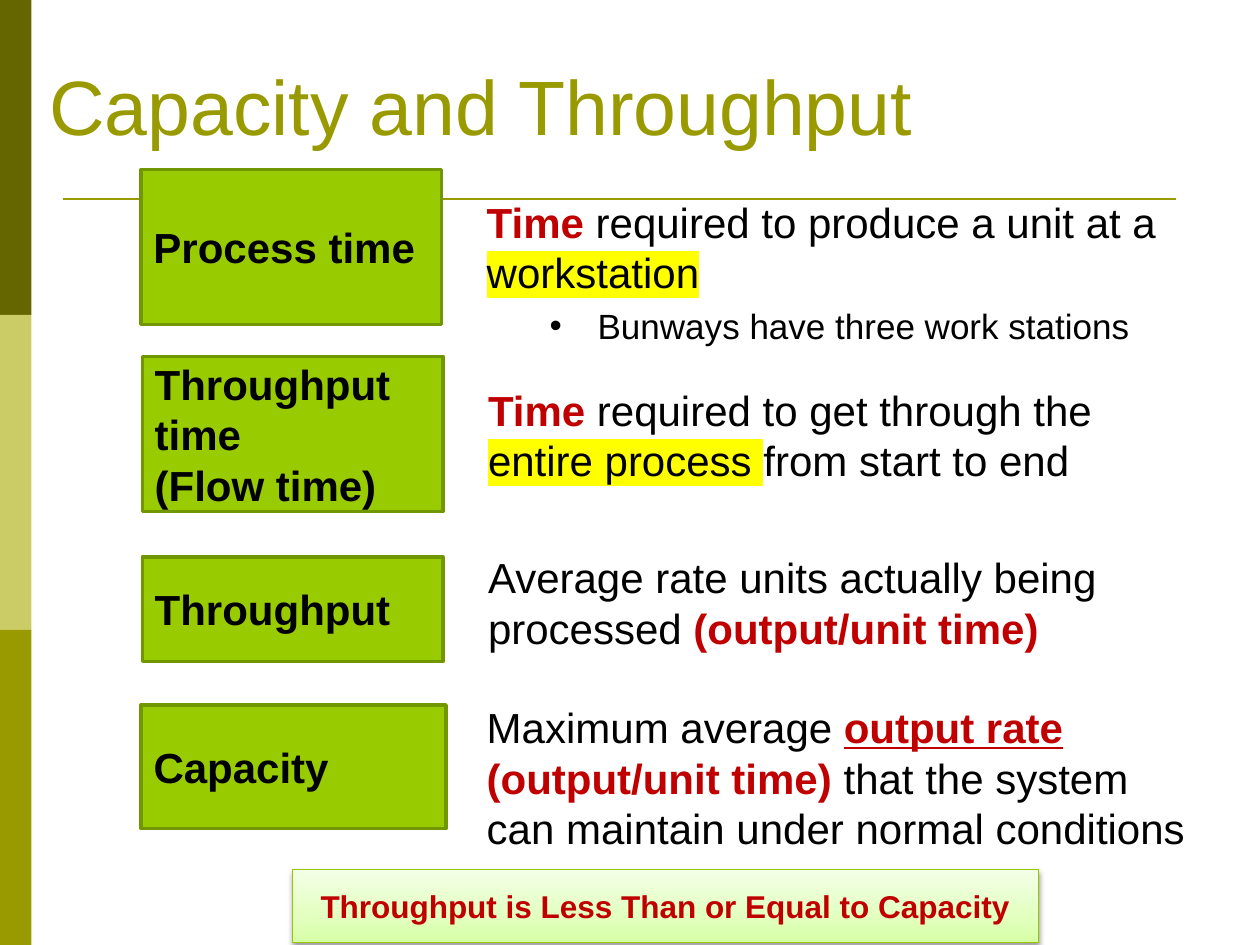
from copy import deepcopy
from lxml.etree import SubElement as Sub
from pptx import Presentation
from pptx.dml.color import RGBColor
from pptx.enum.shapes import MSO_CONNECTOR as Link, MSO_SHAPE as Form
from pptx.enum.text import MSO_ANCHOR as Anchor, MSO_AUTO_SIZE as Auto, PP_ALIGN as Align
from pptx.oxml.ns import qn
from pptx.util import Inches, Pt

COLS, ROWS = 40, 30
WIDE, HIGH = Inches(10), Inches(7.5)
RED, BLACK, OLIVE = "C00000", "000000", "999900"
KEY = {"bold": True, "hue": RED}
MARK = {"glow": "FFFF00"}
LINE = {"bold": True, "hue": RED, "underline": True}

TERMS = [
    ((4.48, 5.38, 9.54, 4.92), ["Process time"]),
    ((4.52, 11.32, 9.54, 4.92), ["Throughput time", "(Flow time)"]),
    ((4.52, 17.68, 9.54, 3.32), ["Throughput"]),
    ((4.48, 22.38, 9.68, 3.92), ["Capacity"]),
]
NOTES = [
    ((15.06, 6.04, 23.6, 6.6), [
        ("Time", KEY), (" required to produce a unit at a ", {}),
        ("workstation", MARK)], "Bunways have three work stations"),
    ((15.1, 12, 23.6, 3.64), [
        ("Time", KEY), (" required to get through the ", {}),
        ("entire process ", MARK), ("from start to end", {})], None),
    ((15.1, 17.32, 23.6, 3.64), [
        ("Average rate units actually being processed ", {}),
        ("(output/unit time)", KEY)], None),
    ((15.06, 22.08, 23.6, 5.24), [
        ("Maximum average ", {}), ("output rate", LINE), (" ", KEY),
        ("(output/unit time) ", KEY),
        ("that the system can maintain under normal conditions", {})], None),
]


def color(hue):
    return RGBColor.from_string(hue)


def put(item, vals):
    for name, val in vals.items():
        setattr(item, name, val)


def place(col, row, wide, high):
    return [int(WIDE * col / COLS), int(HIGH * row / ROWS),
            int(WIDE * wide / COLS), int(HIGH * high / ROWS)]


def write(para, text, size=24, hue=BLACK, glow=None, **form):
    run = para.add_run()
    run.text = text
    put(run.font, {"name": "Arial", "size": Pt(size), **form})
    run.font.color.rgb = color(hue)
    if glow:
        mark = Sub(run.font._element, qn("a:highlight"))
        Sub(mark, qn("a:srgbClr"), val=glow)
        run.font._element.find(qn("a:solidFill")).addnext(mark)


def block(slide, spot, fill, edge=None, width=0):
    box = slide.shapes.add_shape(Form.RECTANGLE, *place(*spot))
    box.shadow.inherit = False
    box.fill.solid()
    box.fill.fore_color.rgb = color(fill)
    if edge:
        box.line.color.rgb = color(edge)
        box.line.width = Pt(width)
    else:
        box.line.fill.background()
    return box


def frame(slide):
    for step, hue in enumerate(["666600", "CCCC66", OLIVE]):
        block(slide, (0, step * ROWS / 3, 1, ROWS / 3), hue)
    left, top, wide, _ = place(2, 6.32, 35.32, 0)
    rule = slide.shapes.add_connector(Link.STRAIGHT, left, top, left + wide, top)
    rule.line.color.rgb = color(OLIVE)
    rule.line.width = Pt(1.5)
    Sub(rule._element.spPr, qn("a:effectLst"))


def head(slide, text):
    title = slide.shapes.title
    put(title, dict(zip(["left", "top", "width", "height"], place(1.16, 0, 35.68, 5))))
    put(title.text_frame, {"vertical_anchor": Anchor.BOTTOM, "auto_size": Auto.NONE,
                           "word_wrap": True})
    para = title.text_frame.paragraphs[0]
    para.alignment = Align.LEFT
    write(para, text, 44, OLIVE)


def term(slide, spot, lines):
    text = block(slide, spot, "99CC00", "719700", 2).text_frame
    put(text, {"vertical_anchor": Anchor.MIDDLE, "word_wrap": True})
    for step, line in enumerate(lines):
        para = text.add_paragraph() if step else text.paragraphs[0]
        para.alignment = Align.LEFT
        write(para, line, bold=True)


def note(slide, spot, runs, item):
    text = slide.shapes.add_textbox(*place(*spot)).text_frame
    text.word_wrap = True
    para = text.paragraphs[0]
    for words, form in runs:
        write(para, words, **form)
    if item:
        para = text.add_paragraph()
        put(para, {"level": 1, "space_before": Pt(4)})
        props = para._p.get_or_add_pPr()
        props.set("marL", str(Inches(0.88)))
        props.set("indent", str(Inches(-0.38)))
        Sub(props, qn("a:buFont"), typeface="Arial")
        Sub(props, qn("a:buChar"), char="•")
        write(para, item, 20)


def banner(slide, spot, words):
    box = block(slide, spot, "E2FFBF", "96C800", 0.75)
    box.fill.gradient()
    box.fill.gradient_angle = 90
    stops = box._element.spPr.find(qn("a:gradFill")).find(qn("a:gsLst"))
    stops.append(deepcopy(stops[0]))
    shades = [(0, "D6FFA5"), (0.35, "E2FFBF"), (1, "F3FFE7")]
    for stop, (share, hue) in zip(box.fill.gradient_stops, shades):
        stop.position = share
        stop.color.rgb = color(hue)
    cast = Sub(box._element.spPr.find(qn("a:effectLst")), qn("a:outerShdw"),
               blurRad=str(Pt(3.1)), dist=str(Pt(1.6)), dir="5400000", rotWithShape="0")
    Sub(Sub(cast, qn("a:srgbClr"), val=BLACK), qn("a:alpha"), val="38000")
    put(box.text_frame, {"vertical_anchor": Anchor.MIDDLE, "word_wrap": True})
    para = box.text_frame.paragraphs[0]
    para.alignment = Align.CENTER
    write(para, words, 18, **KEY)


def main():
    deck = Presentation()
    put(deck, {"slide_width": WIDE, "slide_height": HIGH})
    slide = deck.slides.add_slide(deck.slide_layouts[5])
    frame(slide)
    head(slide, "Capacity and Throughput")
    for spot, lines in TERMS:
        term(slide, spot, lines)
    for spot, runs, item in NOTES:
        note(slide, spot, runs, item)
    banner(slide, (9.28, 27.6, 23.68, 2.32), "Throughput is Less Than or Equal to Capacity")
    deck.save("out.pptx")


if __name__ == "__main__":
    main()
